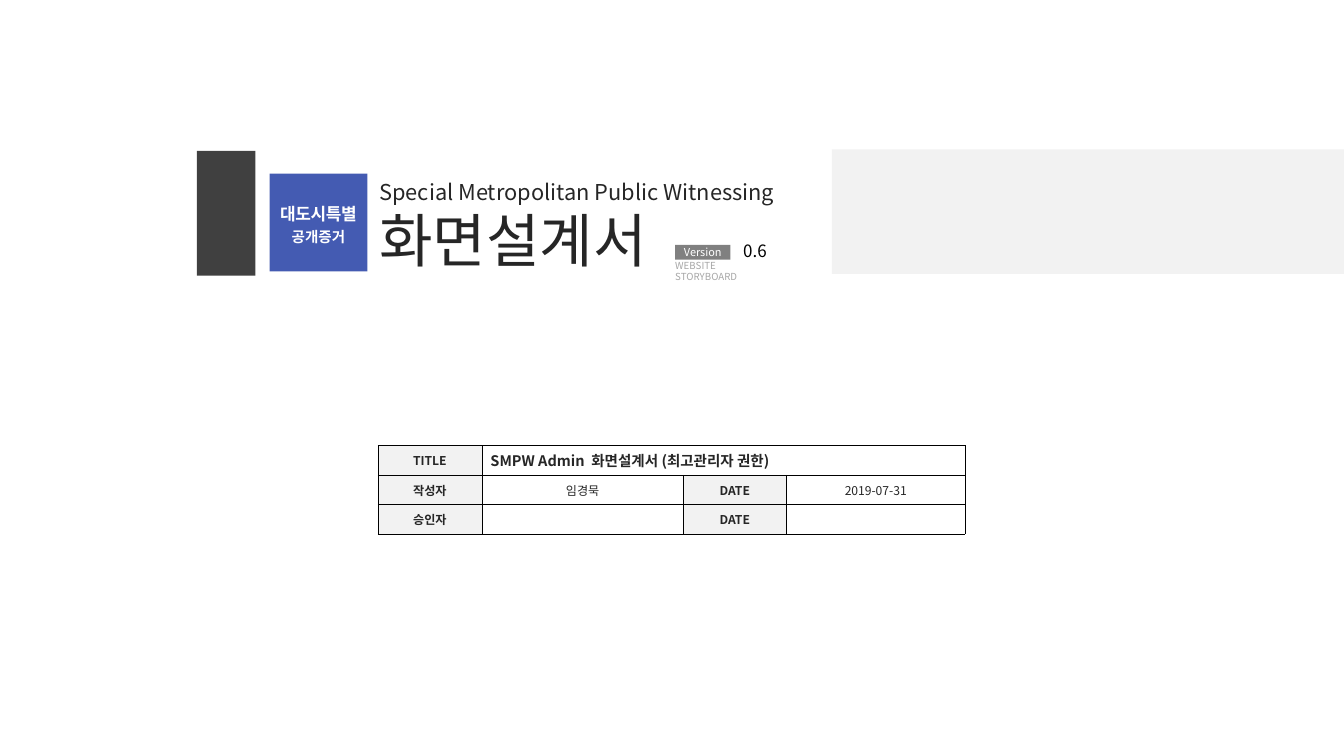
from lxml import etree
from pptx import Presentation
from pptx.dml.color import RGBColor
from pptx.enum.shapes import MSO_SHAPE
from pptx.enum.text import MSO_ANCHOR, PP_ALIGN
from pptx.oxml.ns import qn
from pptx.util import Inches, Pt

RECT = MSO_SHAPE.RECTANGLE
LEFT, CENTER = PP_ALIGN.LEFT, PP_ALIGN.CENTER
TOP, MIDDLE = MSO_ANCHOR.TOP, MSO_ANCHOR.MIDDLE
BLACK = RGBColor(0x00, 0x00, 0x00)
INK = RGBColor(0x26, 0x26, 0x26)
DARK = RGBColor(0x40, 0x40, 0x40)
GRAY = RGBColor(0x80, 0x80, 0x80)
SILVER = RGBColor(0xA6, 0xA6, 0xA6)
PALE = RGBColor(0xF2, 0xF2, 0xF2)
WHITE = RGBColor(0xFF, 0xFF, 0xFF)
BLUE = RGBColor(0x44, 0x5B, 0xB2)
NOTO = "Noto Sans CJK KR"

deck = Presentation()
deck.slide_width, deck.slide_height = Inches(15.4), Inches(8.66)
slide = deck.slides.add_slide(deck.slide_layouts[5])
shapes = slide.shapes


def share(x, y, w, h):
    wide, high = deck.slide_width / 100, deck.slide_height / 100
    return int(x * wide), int(y * high), int(w * wide), int(h * high)


def write(frame, text, sizes, color=INK, bold=False, align=LEFT, anchor=TOP,
          pad=0, lead=1.0, face=NOTO, track=0):
    frame.word_wrap = True
    frame.vertical_anchor = anchor
    frame.margin_left = frame.margin_right = Inches(pad)
    frame.margin_top = frame.margin_bottom = Inches(pad / 2)
    for i, (line, size) in enumerate(zip(text.split("\n"), sizes)):
        para = frame.add_paragraph() if i else frame.paragraphs[0]
        para.alignment, para.line_spacing = align, lead
        run = para.add_run()
        run.text = line
        font = run.font
        font.size, font.bold, font.name = Pt(size), bold, face
        font.color.rgb = color
        props = run._r.get_or_add_rPr()
        etree.SubElement(props, qn("a:ea")).set("typeface", NOTO)
        if track and i == 0:
            props.set("spc", str(track))


bars = {}
for name, color, area in [
    ("dark", DARK, (14.65, 19.97, 4.35, 16.5)),
    ("pale", PALE, (61.9, 19.75, 38.1, 16.5)),
    ("badge", BLUE, (20.06, 22.98, 7.27, 12.93)),
    ("version", GRAY, (50.24, 32.4, 4.1, 1.96)),
]:
    bar = shapes.add_shape(RECT, *share(*area))
    bar.shadow.inherit = False
    bar.fill.solid()
    bar.fill.fore_color.rgb = color
    bar.line.fill.background()
    bars[name] = bar.text_frame

write(bars["badge"], "대도시특별\n공개증거", (14, 12), color=WHITE, bold=True,
      align=CENTER, anchor=MIDDLE, lead=1.2, face="Arial", track=-30)
write(bars["version"], "Version", (9,), color=WHITE, align=CENTER, anchor=MIDDLE)

title = shapes.title
title.left, title.top, title.width, title.height = share(27.58, 23, 33.3, 14)
write(title.text_frame, "Special Metropolitan Public Witnessing\n화면설계서",
      (18, 48), pad=0.1)

for text, size, color, align, area in [
    ("0.6", 14, BLACK, CENTER, (54.55, 31.87, 3.25, 2.77)),
    ("WEBSITE STORYBOARD", 8, SILVER, LEFT, (50.24, 34.35, 5.2, 3.2)),
]:
    box = shapes.add_textbox(*share(*area))
    write(box.text_frame, text, (size,), color=color, align=align)

rows = [
    ("TITLE", "SMPW Admin  화면설계서 (최고관리자 권한)", "", ""),
    ("작성자", "임경묵", "DATE", "2019-07-31"),
    ("승인자", "", "DATE", ""),
]
table = shapes.add_table(3, 4, *share(28.12, 58.9, 43.7, 11.78)).table
for col, wide in zip(table.columns, (1.19, 2.31, 1.18, 2.05)):
    col.width = Inches(wide)
table.cell(0, 1).merge(table.cell(0, 3))

for r, row in enumerate(rows):
    for c, text in enumerate(row):
        cell = table.cell(r, c)
        if cell.is_spanned:
            continue
        props = cell._tc.get_or_add_tcPr()
        for side in ("lnL", "lnR", "lnT", "lnB"):
            edge = etree.SubElement(props, qn("a:" + side), w=str(Pt(0.25)))
            fill = etree.SubElement(edge, qn("a:solidFill"))
            etree.SubElement(fill, qn("a:srgbClr"), val=str(BLACK))
        head = c == 0 or c == 2
        cell.fill.solid()
        cell.fill.fore_color.rgb = PALE if head else WHITE
        cell.margin_top = cell.margin_bottom = 0
        cell.vertical_anchor = MIDDLE
        if text:
            main = r == 0 and c == 1
            write(cell.text_frame, text, (12 if main else 10,), bold=head or main,
                  align=LEFT if main else CENTER, anchor=MIDDLE, pad=0.1)

deck.save("out.pptx")
